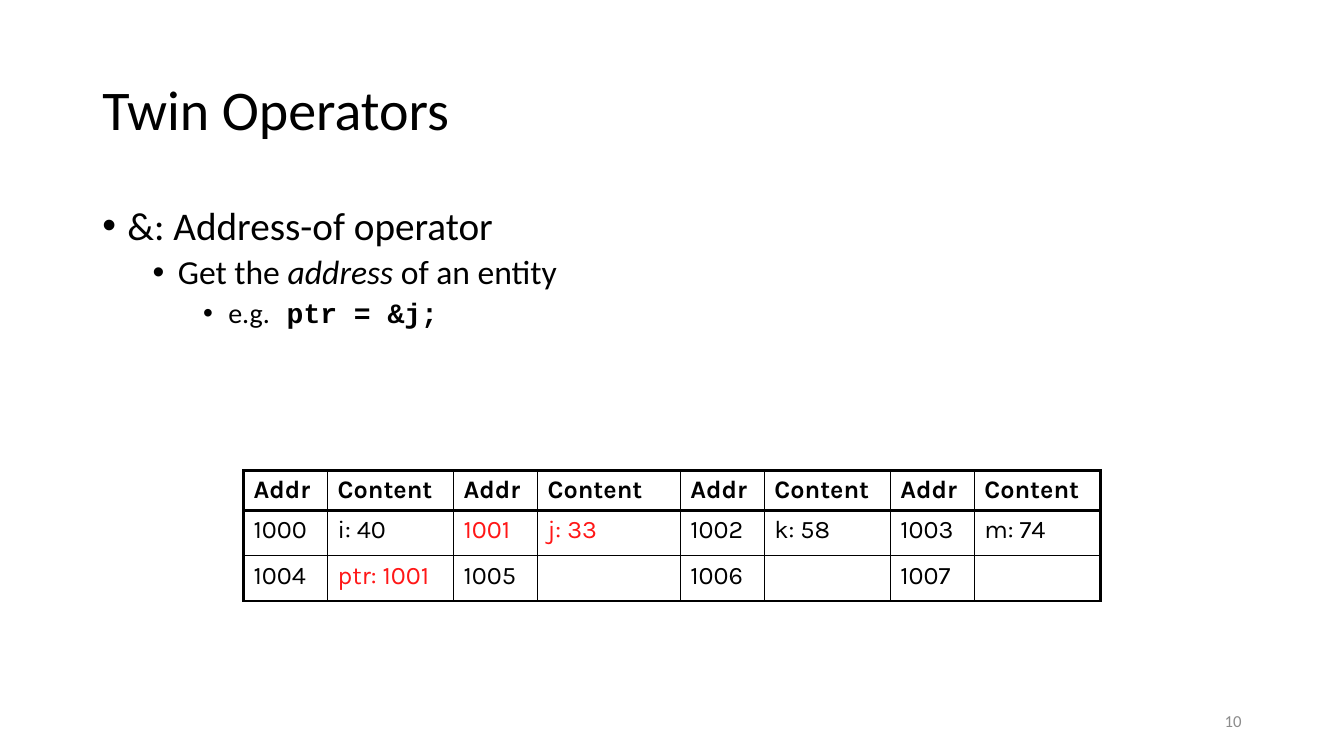
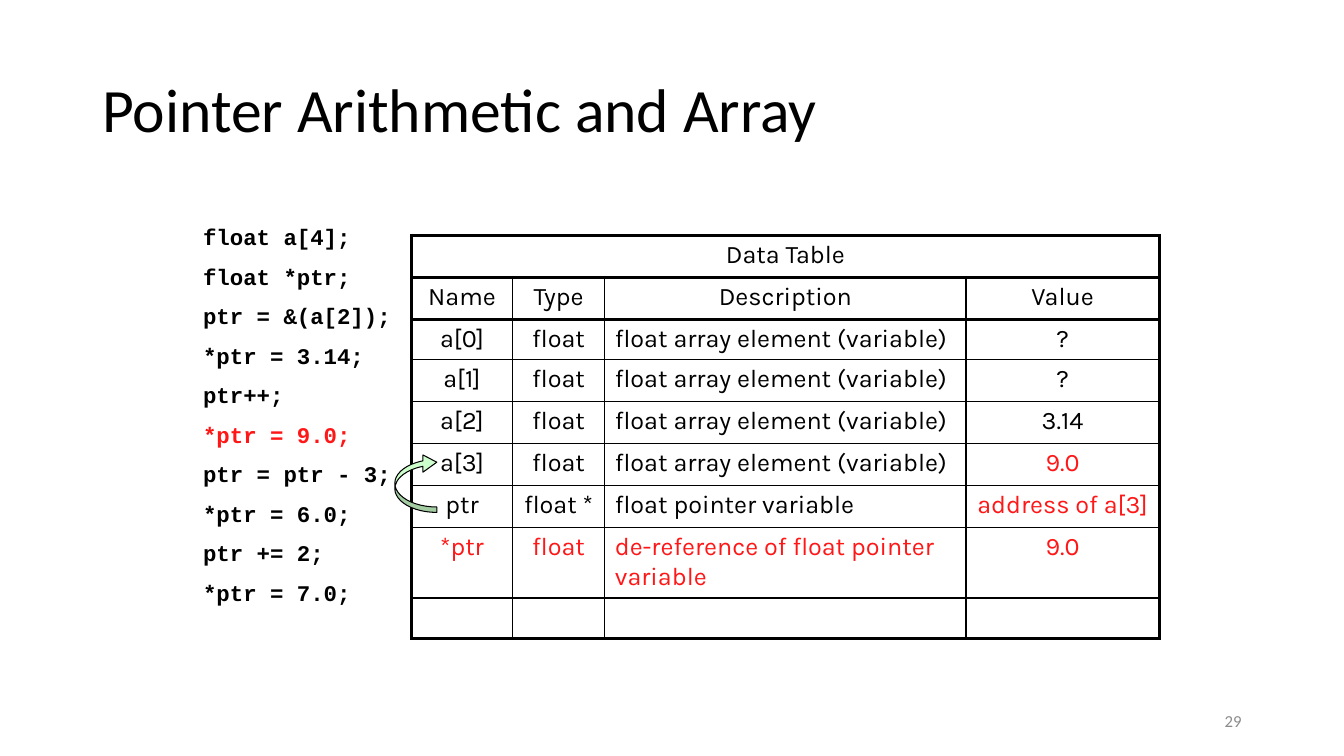
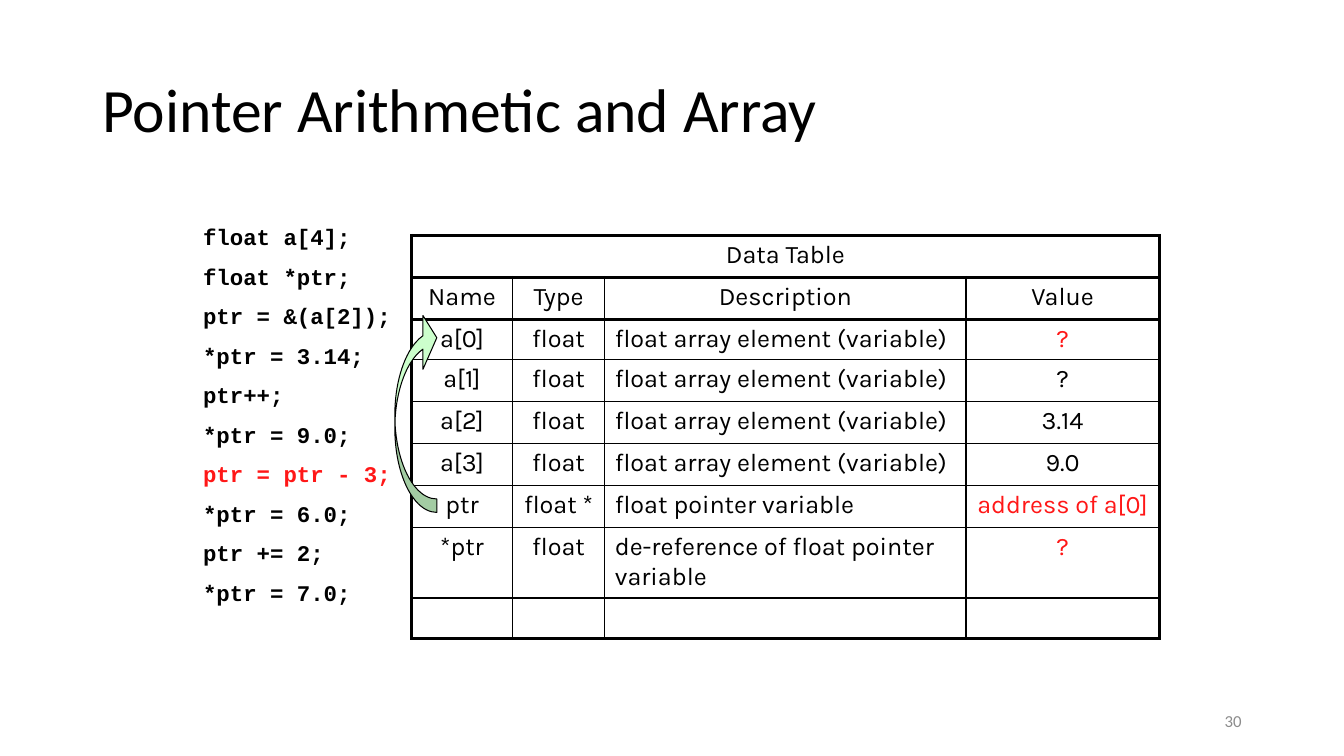
"""Builds three lecture slides on pointers, with memory and data tables."""
from dataclasses import dataclass, replace

from lxml.etree import SubElement as Sub
from pptx import Presentation
from pptx.dml.color import RGBColor as Rgb
from pptx.enum.shapes import MSO_SHAPE as Shape
from pptx.enum.text import MSO_ANCHOR as Anchor, PP_ALIGN as Align
from pptx.oxml.ns import qn
from pptx.util import Pt

SCALE = 9525


@dataclass(frozen=True)
class Type:
    """Holds the look of a run of text."""
    font: str
    size: int
    color: str = "000000"
    bold: bool = False
    slant: bool = False


@dataclass(frozen=True)
class Theme:
    """Holds the colours and type sizes of the deck."""
    ink: str = "000000"
    hot: str = "FF1717"
    leaf: str = "CCFFCC"
    thin: float = 1
    thick: float = 2.25
    edge: float = 0.75
    title: Type = Type("Calibri", 44)
    levels: tuple = (Type("Calibri", 28), Type("Calibri", 24), Type("Calibri", 20))
    code: Type = Type("Courier New", 16, bold=True)
    cell: Type = Type("Karla", 18)
    page: Type = Type("Calibri", 12, "8C8C8C")


def px(count):
    """Turns px into EMU."""
    return count * SCALE


class Deck:
    """Draws styled elements on the current slide."""

    def __init__(self, theme):
        """Starts an empty wide deck."""
        self.theme = theme
        self.show = Presentation()
        self.show.slide_width, self.show.slide_height = px(1280), px(720)

    def slide(self, title, page, size=44):
        """Adds a slide with its title and page number."""
        self.shapes = self.show.slides.add_slide(self.show.slide_layouts[6]).shapes
        head = self.frame(88, 38, 1104, 139, Anchor.MIDDLE).paragraphs[0]
        head.line_spacing = 0.9
        self.run(head, title, replace(self.theme.title, size=size))
        foot = self.frame(904, 667, 288, 38, Anchor.MIDDLE).paragraphs[0]
        foot.alignment = Align.RIGHT
        self.run(foot, str(page), self.theme.page)

    def frame(self, x, y, w, h, anchor=Anchor.TOP):
        """Adds a wrapping text box and returns its frame."""
        frame = self.shapes.add_textbox(px(x), px(y), px(w), px(h)).text_frame
        frame.word_wrap = True
        frame.vertical_anchor = anchor
        return frame

    def run(self, para, text, style):
        """Adds one run of text to a paragraph."""
        run = para.add_run()
        run.text = text
        font = run.font
        font.name, font.size = style.font, Pt(style.size)
        font.bold, font.italic = style.bold, style.slant
        font.color.rgb = Rgb.from_string(style.color)

    def paras(self, frame, items, gap):
        """Yields a paragraph for each item, with gaps between them."""
        for i, item in enumerate(items):
            para = frame.add_paragraph() if i else frame.paragraphs[0]
            if i:
                para.space_before = Pt(gap)
            yield i, para, item

    def bullets(self, x, y, w, h, items):
        """Adds bullets, each one level deeper than the last."""
        for level, para, runs in self.paras(self.frame(x, y, w, h), items, 5):
            props = para._p.get_or_add_pPr()
            props.set("marL", str(px(24 + 48 * level)))
            props.set("indent", str(px(-24)))
            Sub(props, qn("a:buFont"), typeface="Arial")
            Sub(props, qn("a:buChar"), char="•")
            para.line_spacing = 0.9
            for text, change in runs:
                self.run(para, text, replace(self.theme.levels[level], **change))

    def code(self, x, y, w, h, lines, hot):
        """Adds a code listing with one line marked."""
        for i, para, line in self.paras(self.frame(x, y, w, h), lines, 9):
            color = self.theme.hot if i == hot else self.theme.ink
            self.run(para, line, replace(self.theme.code, color=color))

    def border(self, cell, sides):
        """Draws the four borders of a cell."""
        props = cell._tc.get_or_add_tcPr()
        for side, heavy in zip("LRTB", sides):
            width = self.theme.thick if heavy else self.theme.thin
            line = Sub(props, qn(f"a:ln{side}"), w=str(Pt(width)))
            Sub(Sub(line, qn("a:solidFill")), qn("a:srgbClr"), val=self.theme.ink)

    def table(self, x, y, cols, rows, data, heavy, hot, mid=(), bold=False, span=False):
        """Adds a ruled table; heavy lists its thick horizontal lines."""
        frame = self.shapes.add_table(
            len(rows), len(cols), px(x), px(y), px(sum(cols)), px(sum(rows)))
        grid = frame.table
        grid.first_row = grid.horz_banding = False
        for part, size in zip(grid.columns, cols):
            part.width = px(size)
        for part, size in zip(grid.rows, rows):
            part.height = px(size)
        if span:
            grid.cell(0, 0).merge(grid.cell(0, len(cols) - 1))
        for r, texts in enumerate(data):
            for c, text in enumerate(texts):
                cell = grid.cell(r, c)
                last = c + cell.span_width == len(cols)
                self.border(cell, (c == 0, last, r in heavy, r + 1 in heavy))
                cell.fill.background()
                if text:
                    para = cell.text_frame.paragraphs[0]
                    if c in mid or (mid and r < 2):
                        para.alignment = Align.CENTER
                    color = self.theme.hot if (r, c) in hot else self.theme.ink
                    self.run(para, text, replace(
                        self.theme.cell, color=color, bold=bold and r == 0))

    def arrow(self, x, y, w, h, bends):
        """Adds a curved arrow that points right."""
        arrow = self.shapes.add_shape(
            Shape.CURVED_LEFT_ARROW, px(x), px(y), px(w), px(h))
        arrow.rotation = 180
        arrow.shadow.inherit = False
        for i, bend in enumerate(bends):
            arrow.adjustments[i] = bend
        arrow.fill.solid()
        arrow.fill.fore_color.rgb = Rgb.from_string(self.theme.leaf)
        arrow.line.color.rgb = Rgb.from_string(self.theme.ink)
        arrow.line.width = Pt(self.theme.edge)


CODE = ("float a[4];", "float *ptr;", "ptr = &(a[2]);", "*ptr = 3.14;", "ptr++;",
        "*ptr = 9.0;", "ptr = ptr - 3;", "*ptr = 6.0;", "ptr += 2;", "*ptr = 7.0;")


def twins(deck):
    """Draws the slide on the address-of operator."""
    deck.slide("Twin Operators", 10, 40)
    deck.bullets(88, 192, 1104, 457, (
        (("&: Address-of operator", {}),),
        (("Get the ", {}), ("address", {"slant": True}), (" of an entity", {})),
        (("e.g.", {}), (" ptr = &j;", {"font": "Courier New", "bold": True}))))
    data = (("Addr", "Content") * 4,
            ("1000", "i: 40", "1001", "j: 33", "1002", "k: 58", "1003", "m: 74"),
            ("1004", "ptr: 1001", "1005", "", "1006", "", "1007", ""))
    deck.table(232, 448, (80, 120, 80, 136, 80, 120, 80, 120), (38, 43, 43), data,
               heavy={0, 1, 3}, hot={(1, 2), (1, 3), (2, 1)}, bold=True)


def maths(deck, page, line, target, values, hot, top, bends):
    """Draws one step of the pointer arithmetic program."""
    deck.slide("Pointer Arithmetic and Array", page)
    deck.code(184, 208, 896, 382, CODE, line)
    items = [(f"a[{i}]", "float", "float array element (variable)", value)
             for i, value in enumerate(values)]
    data = [("Data Table", "", "", ""),
            ("Name", "Type", "Description", "Value"),
            *items,
            ("ptr", "float *", "float pointer variable", f"address of a[{target}]"),
            ("*ptr", "float", "de-reference of float pointer variable", values[target]),
            ("",) * 4]
    deck.table(392, 224, (96, 88, 344, 184), (40, 40, 38, 40, 40, 40, 40, 67, 38),
               data, heavy={0, 1, 2, 9}, hot=hot, mid=(0, 1, 3), span=True)
    deck.arrow(376, top, 40, 488 - top, bends)


def main():
    """Builds and saves the deck."""
    deck = Deck(Theme())
    twins(deck)
    values = ("?", "?", "3.14", "9.0")
    maths(deck, 29, 5, 3, values, {(5, 3), (6, 3), *((7, c) for c in range(4))},
          432, (0.13, 0.41, 0.33))
    maths(deck, 30, 6, 0, values, {(2, 3), (6, 3), (7, 3)}, 296, (0.32, 1.28, 0.33))
    deck.show.save("out.pptx")


if __name__ == "__main__":
    main()
